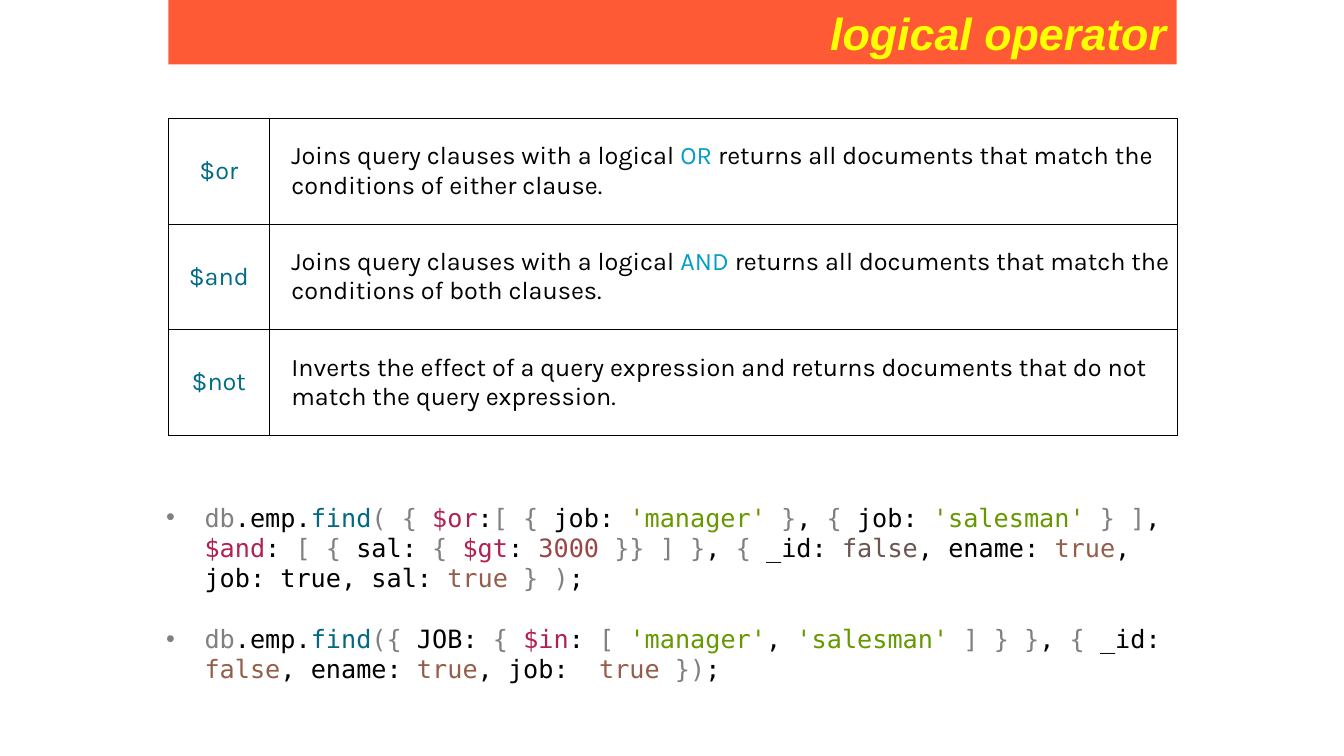
import pptx
import pptx.dml.color
import pptx.enum.shapes
import pptx.enum.text
import pptx.oxml
import pptx.oxml.ns
import pptx.util
from pptx.util import Inches

COLORS = {
    "banner": "FF5A36", "title": "FFFF00", "operator": "006C86", "keyword": "049DC8",
    "plain": "000000", "bracket": "808080", "method": "036883", "query": "B22251",
    "string": "669900", "number": "994646", "boolean": "955E4B", "dim": "6A5650",
}


def add_text(paragraph, text, color="plain", font="Karla", size=18, bold=False, italic=False):
    run = paragraph.add_run()
    run.text = text
    run.font.name = font
    run.font.size = pptx.util.Pt(size)
    run.font.bold = bold
    run.font.italic = italic
    run.font.color.rgb = pptx.dml.color.RGBColor.from_string(COLORS[color])


def add_xml(parent, xml):
    parent.append(pptx.oxml.parse_xml(xml.replace(" ", f" {pptx.oxml.ns.nsdecls('a')} ", 1)))


deck = pptx.Presentation()
deck.slide_width, deck.slide_height = Inches(13.33), Inches(7.5)
slide = deck.slides.add_slide(deck.slide_layouts[6])

# Title banner
banner = slide.shapes.add_shape(pptx.enum.shapes.MSO_SHAPE.RECTANGLE,
                                Inches(1.67), 0, Inches(10), Inches(0.64))
banner.shadow.inherit = False
banner.fill.solid()
banner.fill.fore_color.rgb = pptx.dml.color.RGBColor.from_string(COLORS["banner"])
banner.line.fill.background()
banner.text_frame.vertical_anchor = pptx.enum.text.MSO_ANCHOR.MIDDLE
title = banner.text_frame.paragraphs[0]
title.alignment = pptx.enum.text.PP_ALIGN.RIGHT
add_text(title, "logical operator", color="title", font="Arial", size=32, bold=True, italic=True)

# Operator table
joins = ("Joins query clauses with a logical ", "plain")
operators = [
    ("$or", [joins, ("OR ", "keyword"),
             ("returns all documents that match the conditions of either clause.", "plain")]),
    ("$and", [joins, ("AND ", "keyword"),
              ("returns all documents that match the conditions of both clauses.", "plain")]),
    ("$not", [("Inverts the effect of a query expression and returns documents "
               "that do not match the query expression.", "plain")]),
]
operator_table = slide.shapes.add_table(len(operators), 2, Inches(1.67), Inches(1.17),
                                        Inches(10), Inches(3.15)).table
operator_table.first_row = False
operator_table.horz_banding = False
operator_table.columns[0].width = Inches(1)
operator_table.columns[1].width = Inches(9)

for row, (operator, meaning) in enumerate(operators):
    operator_table.rows[row].height = Inches(1.05)
    name_cell, meaning_cell = operator_table.cell(row, 0), operator_table.cell(row, 1)
    for cell in (name_cell, meaning_cell):
        cell.margin_left = cell.margin_right = Inches(0.03)
        cell.margin_top = cell.margin_bottom = Inches(0.02)
        cell.vertical_anchor = pptx.enum.text.MSO_ANCHOR.MIDDLE
        for side in "LRTB":
            add_xml(cell._tc.get_or_add_tcPr(),
                    f'<a:ln{side} w="{pptx.util.Pt(0.25)}"><a:solidFill>'
                    f'<a:srgbClr val="{COLORS["plain"]}"/></a:solidFill></a:ln{side}>')
        cell.fill.background()
    name = name_cell.text_frame.paragraphs[0]
    name.alignment = pptx.enum.text.PP_ALIGN.CENTER
    add_text(name, operator, color="operator")
    description = meaning_cell.text_frame.paragraphs[0]
    description._p.get_or_add_pPr().set("marL", str(Inches(0.19)))
    for text, color in meaning:
        add_text(description, text, color=color)

# Query examples, split into coloured tokens
call = [("db", "bracket"), (".emp.", "plain"), ("find", "method")]
queries = [
    call + [
        ("( { ", "bracket"), ("$or", "query"), (":", "plain"), ("[ { ", "bracket"),
        ("job: ", "plain"), ("'manager' ", "string"), ("}", "bracket"), (", ", "plain"),
        ("{", "bracket"), (" job: ", "plain"), ("'salesman' ", "string"), ("} ]", "bracket"),
        (", ", "plain"), ("$and", "query"), (": ", "plain"), ("[ {", "bracket"),
        (" sal: ", "plain"), ("{ ", "bracket"), ("$gt", "query"), (": ", "plain"),
        ("3000 ", "number"), ("}} ] }", "bracket"), (", ", "plain"), ("{ ", "bracket"),
        ("_id: ", "plain"), ("false", "dim"), (", ename: ", "plain"), ("true", "boolean"),
        (", job: true, sal: ", "plain"), ("true ", "boolean"), ("} )", "bracket"), (";", "plain"),
    ],
    call + [
        ("({ ", "bracket"), ("JOB: ", "plain"), ("{ ", "bracket"), ("$in", "query"),
        (": ", "plain"), ("[ ", "bracket"), ("'manager'", "string"), (", ", "plain"),
        ("'salesman' ", "string"), ("] } }", "bracket"), (", ", "plain"), ("{", "bracket"),
        (" _id: ", "plain"), ("false", "boolean"), (", ename: ", "plain"), ("true", "boolean"),
        (", job:  ", "plain"), ("true ", "boolean"), ("})", "bracket"), (";", "plain"),
    ],
]
examples = slide.shapes.add_textbox(Inches(1.55), Inches(4.93),
                                    Inches(10.12), Inches(2.22)).text_frame
examples.word_wrap = True
for index, tokens in enumerate(queries):
    query = examples.add_paragraph() if index else examples.paragraphs[0]
    properties = query._p.get_or_add_pPr()
    properties.set("marL", str(Inches(0.38)))
    properties.set("indent", str(-Inches(0.38)))
    add_xml(properties, '<a:buFont typeface="Arial"/>')
    add_xml(properties, '<a:buChar char="•"/>')
    if index:
        query.space_before = pptx.util.Pt(22)
    for text, color in tokens:
        add_text(query, text, color=color, font="DejaVu Sans Mono")

deck.save("out.pptx")
